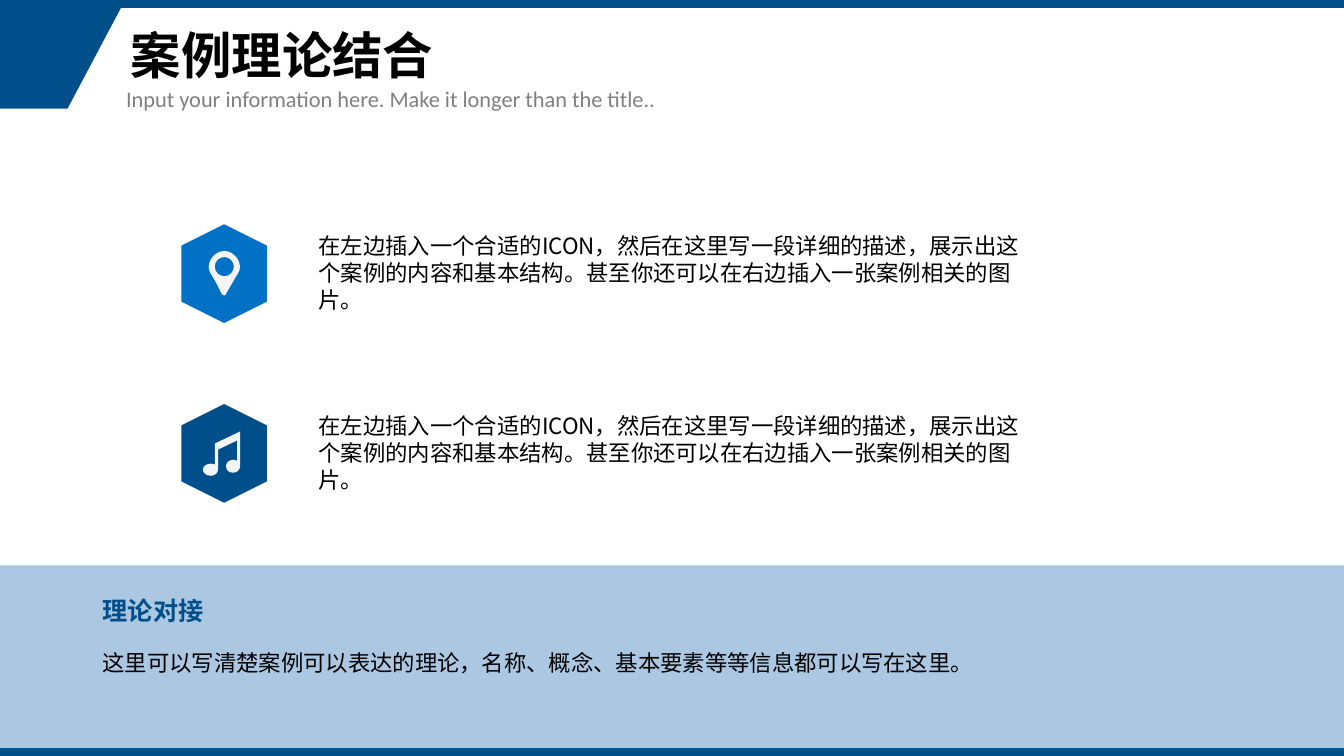
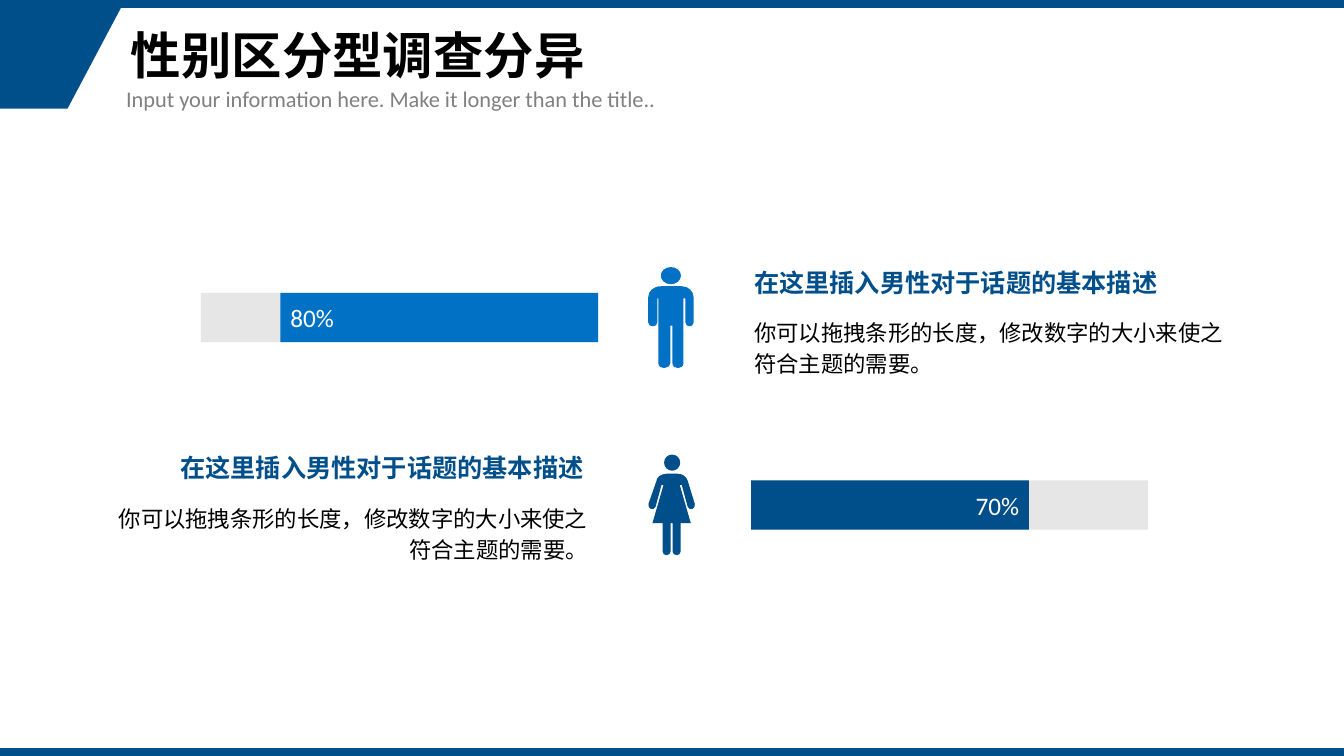
from itertools import chain

from lxml import etree
from pptx import Presentation
from pptx.dml.color import RGBColor
from pptx.enum.shapes import MSO_SHAPE
from pptx.enum.text import MSO_ANCHOR, PP_ALIGN
from pptx.oxml.ns import qn
from pptx.util import Inches, Pt

RECTANGLE = MSO_SHAPE.RECTANGLE
HEXAGON = MSO_SHAPE.HEXAGON
TOP, MIDDLE = MSO_ANCHOR.TOP, MSO_ANCHOR.MIDDLE
LEFT, RIGHT = PP_ALIGN.LEFT, PP_ALIGN.RIGHT

NAVY = RGBColor(0x00, 0x4F, 0x8A)
BLUE = RGBColor(0x01, 0x71, 0xC5)
STEEL = RGBColor(0x2E, 0x75, 0xB6)
SMOKE = RGBColor(0xF5, 0xF5, 0xF5)
TRACK = RGBColor(0xE7, 0xE6, 0xE6)
GRAY = RGBColor(0x80, 0x80, 0x80)
BLACK = RGBColor(0x00, 0x00, 0x00)
WHITE = RGBColor(0xFF, 0xFF, 0xFF)

LATIN = "Calibri"
CHINESE = "Noto Sans CJK SC"

WIDTH, HEIGHT = Inches(40 / 3), Inches(7.5)
BAND = 1.05
BAR_WIDTH, BAR_HEIGHT = 29.55, 6.53

SUBTITLE = "Input your information here. Make it longer than the title.."
CASE = ("在左边插入一个合适的ICON，然后在这里写一段详细的描述，"
        "展示出这个案例的内容和基本结构。甚至你还可以在右边插入一张案例相关的图片。")
THEORY = "这里可以写清楚案例可以表达的理论，名称、概念、基本要素等等信息都可以写在这里。"
TOPIC = "在这里插入男性对于话题的基本描述"
ADVICE = "你可以拖拽条形的长度，修改数字的大小来使之符合主题的需要。"


def ellipse(x, y, across, down):
    a, d = across * 0.55, down * 0.55
    left, right, top, bottom = x - across, x + across, y - down, y + down
    return [(x, top), (x + a, top, right, y - d, right, y),
            (right, y + d, x + a, bottom, x, bottom),
            (x - a, bottom, left, y + d, left, y),
            (left, y - d, x - a, top, x, top)]


PIN = [
    [(15.5, 0), (7, 0, 0, 8, 0, 16), (0, 20, 2, 22, 6, 29), (10, 36, 12, 41, 12, 41),
     (14, 45, 17, 45, 18, 41), (18, 41, 21, 36, 25, 29), (29, 22, 31, 20, 31, 16),
     (31, 8, 24, 0, 15.5, 0)],
    ellipse(15.5, 15.5, 9.5, 9.5),
]
NOTE = [
    [(12, 33), (9, 32, 10, 32, 8, 32), (4, 32, 0, 34, 0, 38), (0, 41, 3, 44, 8, 44),
     (12, 44, 15, 41, 15, 38), (15, 18), (34, 9), (34, 29), (31, 29, 32, 28, 31, 28),
     (26, 28, 23, 31, 23, 34), (23, 38, 25, 41, 30, 41), (34, 41, 37, 38, 37, 34),
     (37, 0), (12, 12)],
]
MAN = [
    [(13, 19), (33, 19), (40, 19, 45, 24, 45, 30), (45, 55), (45, 60, 37, 60, 37, 55),
     (37, 31), (35, 31), (35, 95), (35, 102, 24, 102, 24, 95), (24, 58), (22, 58),
     (22, 95), (21, 102, 10, 102, 10, 95), (10, 31), (9, 31), (9, 55),
     (9, 60, 0, 60, 0, 55), (0, 30), (0, 24, 5, 19, 13, 19)],
    ellipse(22.5, 8.5, 10, 8.5),
]
WOMAN = [
    [(18, 19), (29, 19), (35, 19, 38, 23, 39, 26), (46, 49), (47, 54, 41, 56, 39, 52),
     (33, 30), (31, 30), (42, 68), (32, 68), (32, 96), (32, 101, 24, 101, 24, 96),
     (24, 68), (22, 68), (22, 96), (22, 101, 14, 101, 14, 96), (14, 68), (4, 68),
     (15, 30), (13, 30), (7, 52), (5, 56, -1, 54, 0, 49), (8, 26),
     (8, 23, 12, 19, 18, 19)],
    ellipse(23.5, 8, 8, 8),
]


def columns(count):
    return round(WIDTH * count / 100)


def rows(count):
    return round(HEIGHT * count / 100)


def write(box, text, size=16, color=BLACK, font=LATIN, bold=False, align=LEFT,
          anchor=TOP, spacing=None, wrap=True):
    frame = box.text_frame
    frame.word_wrap = wrap
    frame.vertical_anchor = anchor
    para = frame.paragraphs[0]
    para.alignment = align
    if spacing:
        para.line_spacing = spacing
    span = para.add_run()
    span.text = text
    span.font.size = Pt(size)
    span.font.bold = bold
    span.font.name = font
    span.font.color.rgb = color
    properties = span.font._element
    etree.SubElement(properties, qn("a:ea")).set("typeface", CHINESE)


def bend(shape, contours):
    lines = iter(list(shape._element.iter(qn("a:lnTo"))))
    for move in chain.from_iterable(contour[1:] for contour in contours):
        line = next(lines)
        if len(move) == 6:
            line.tag = qn("a:cubicBezTo")
            for extra in (next(lines), next(lines)):
                line.append(extra[0])
                extra.getparent().remove(extra)


class Painter:
    def __init__(self):
        self.deck = Presentation()
        self.deck.slide_width, self.deck.slide_height = WIDTH, HEIGHT
        self.page = None

    def new_page(self, title):
        self.page = self.deck.slides.add_slide(self.deck.slide_layouts[6])
        corner = [(0, 0), (120, 0), (67, 100), (0, 100)]
        self.freeform(0, BAND, [corner], NAVY)
        for top in (0, 100 - BAND):
            self.shape(0, top, 100, BAND, NAVY)
        self.text(9, BAND, 84.15, 13.33, title, size=36, font=CHINESE, bold=True,
                  anchor=MIDDLE, spacing=0.9)
        self.text(8.65, 10.6, 58.5, 4.93, SUBTITLE, color=GRAY)

    def paint(self, shape, color):
        shape.shadow.inherit = False
        shape.fill.solid()
        shape.fill.fore_color.rgb = color
        shape.line.fill.background()
        return shape

    def shape(self, left, top, width, height, color, kind=RECTANGLE, opacity=None):
        shape = self.page.shapes.add_shape(
            kind, columns(left), rows(top), columns(width), rows(height))
        self.paint(shape, color)
        if opacity:
            tint = shape._element.spPr.find(qn("a:solidFill"))[0]
            etree.SubElement(tint, qn("a:alpha")).set("val", str(opacity * 1000))
        return shape

    def freeform(self, left, top, contours, color):
        unit = Inches(0.01)
        builder = None
        for contour in contours:
            flat = list(chain.from_iterable(contour))
            first, *others = [(round(columns(left) + x * unit), round(rows(top) + y * unit))
                              for x, y in zip(flat[::2], flat[1::2])]
            if builder is None:
                builder = self.page.shapes.build_freeform(*first)
            else:
                builder.move_to(*first)
            builder.add_line_segments(others, close=True)
        shape = self.paint(builder.convert_to_shape(), color)
        bend(shape, contours)

    def text(self, left, top, width, height, text, **style):
        box = self.page.shapes.add_textbox(
            columns(left), rows(top), columns(width), rows(height))
        write(box, text, **style)

    def heading(self, left, top, width, text, font=LATIN):
        self.text(left, top, width, 5.33, text, size=18, color=NAVY, font=font,
                  bold=True, wrap=False)

    def case(self, top, color, icon, icon_left, icon_top):
        badge = self.shape(13, top, 7.35, 11.33, color, kind=HEXAGON)
        badge.rotation = 90
        self.freeform(icon_left, icon_top, icon, SMOKE)
        self.text(22.97, top - 0.42, 54.08, 12.13, CASE, font=CHINESE)

    def bar(self, left, top, percent, color, from_right=False):
        self.shape(left, top, BAR_WIDTH, BAR_HEIGHT, TRACK)
        width = BAR_WIDTH * percent / 100
        start = left + BAR_WIDTH - width if from_right else left
        value = self.shape(start, top, width, BAR_HEIGHT, color)
        write(value, f"{percent}%", size=18, color=WHITE, anchor=MIDDLE,
              align=LEFT if from_right else RIGHT)

    def advice(self, left, top, align):
        self.text(left, top, 37.28, 9.47, ADVICE, align=align, spacing=1.14)


def main():
    painter = Painter()

    painter.new_page("案例理论结合")
    painter.shape(0, 74.8, 100, 24.15, STEEL, opacity=40)
    painter.case(30.53, BLUE, PIN, 15.53, 33.2)
    painter.case(54.3, NAVY, NOTE, 15.1, 57.07)
    painter.heading(6.9, 78.13, 9.08, "理论对接", font=CHINESE)
    painter.text(6.9, 85.2, 86.25, 4.93, THEORY, font=CHINESE)

    painter.new_page("性别区分型调查分异")
    painter.freeform(48.23, 35.33, MAN, BLUE)
    painter.freeform(48.25, 60.13, WOMAN, NAVY)
    painter.bar(14.95, 38.74, 80, BLUE, from_right=True)
    painter.bar(55.88, 63.55, 70, NAVY)
    painter.heading(55.38, 34.67, 31.8, TOPIC)
    painter.advice(55.38, 41.07, LEFT)
    painter.heading(12.68, 59.15, 31.8, TOPIC)
    painter.advice(7.2, 65.73, RIGHT)

    painter.deck.save("out.pptx")


if __name__ == "__main__":
    main()
